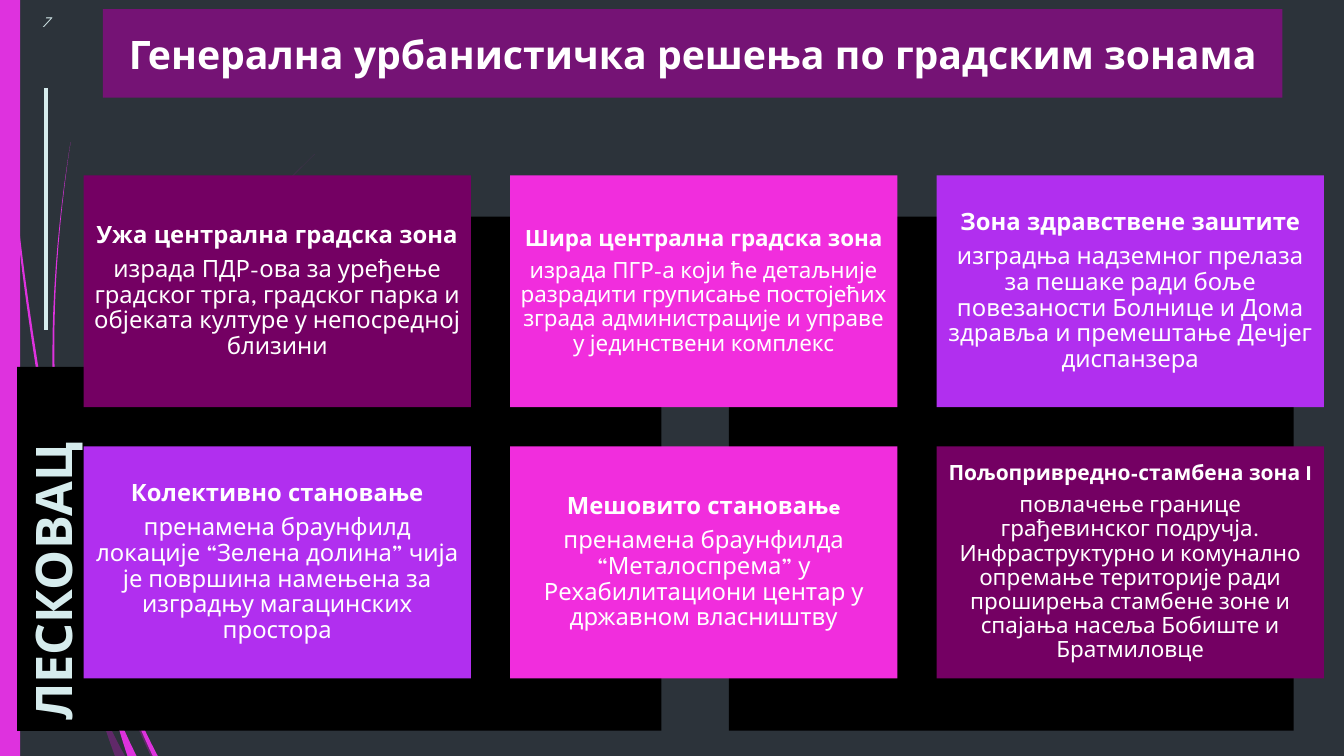
from lxml.etree import SubElement
from pptx import Presentation
from pptx.dml.color import RGBColor
from pptx.enum.shapes import MSO_CONNECTOR as Connector, MSO_SHAPE as Shape
from pptx.enum.text import MSO_ANCHOR as Anchor, PP_ALIGN as Align
from pptx.oxml.ns import qn
from pptx.util import Pt

SCALE = 9144  # EMU in one px, at 100 px to the inch
WIDTH, HEIGHT = 1333, 750
BACKGROUND, BLACK, WHITE = "2C333A", "000000", "FFFFFF"
PALE, PINK, ORCHID = "D6ECED", "DE32DE", "B01CB0"
TITLE_FILL, PLUM, MAGENTA, VIOLET = "751375", "740063", "F12DDD", "B12FEF"

# Fill, opacity, widths at both ends, four points of the cubic spine
STRANDS = [
    (ORCHID, 40, 0, 5, [(88, 596), (105, 645), (128, 700), (152, 750)]),
    (ORCHID, 40, 0, 3, [(312, 153), (200, 262), (80, 400), (86, 596)]),
    (ORCHID, 40, 0, 10, [(93, 683), (101, 709), (111, 733), (119, 750)]),
    (PINK, 100, 1, 3, [(3, 0), (5, 160), (27, 320), (57, 481)]),
    (PINK, 100, 0, 5, [(110, 641), (120, 675), (138, 718), (154, 750)]),
    (PINK, 100, 0, 3, [(70, 141), (53, 250), (47, 360), (60, 472)]),
    (PINK, 100, 0, 9, [(110, 691), (116, 712), (123, 731), (131, 750)]),
]

# Fill, heading, heading size, body, body size, inset
ZONES = [
    (PLUM, "Ужа централна градска зона", 17,
     "израда ПДР-ова за уређење градског трга, градског парка и објеката културе "
     "у непосредној близини", 17, 7),
    (MAGENTA, "Шира централна градска зона", 16,
     "израда ПГР-а који ће детаљније разрадити груписање постојећих зграда "
     "администрације и управе у јединствени комплекс", 16, 7),
    (VIOLET, "Зона здравствене заштите", 17,
     "изградња надземног прелаза за пешаке ради боље повезаности Болнице и Дома "
     "здравља и премештање Дечјег диспанзера", 17, 7),
    (VIOLET, "Колективно становање", 17,
     "пренамена браунфилд локације “Зелена долина” чија је површина намењена за "
     "изградњу магацинских простора", 17, 7),
    (MAGENTA, "Мешовито становањe", 17,
     "пренамена браунфилда “Металоспрема” у Рехабилитациони центар у државном "
     "власништву", 17, 7),
    (PLUM, "Пољопривредно-стамбена зона I", 15,
     "повлачење границе грађевинског подручја. Инфраструктурно и комунално "
     "опремање територије ради проширења стамбене зоне и спајања насеља Бобиште "
     "и Братмиловце", 16, 6),
]


def color(value):
    return RGBColor.from_string(value)


def px(length):
    return int(length * SCALE)


def strand_outline(start_width, end_width, spine, steps=16):
    """Run down one side of a widening cubic curve and back up the other."""
    left, right = [], []
    for step in range(steps + 1):
        t = step / steps
        u = 1 - t
        weights = (u**3, 3 * u * u * t, 3 * u * t * t, t**3)
        x = sum(weight * point[0] for weight, point in zip(weights, spine))
        y = sum(weight * point[1] for weight, point in zip(weights, spine))
        half = (u * start_width + t * end_width) / 2
        left.append((px(x - half), px(y)))
        right.append((px(x + half), px(y)))
    return left + right[::-1]


class SlideBuilder:
    font = "League Spartan"

    def __init__(self, presentation):
        self.slide = presentation.slides.add_slide(presentation.slide_layouts[6])
        self.shapes = self.slide.shapes
        fill = self.slide.background.fill
        fill.solid()
        fill.fore_color.rgb = color(BACKGROUND)

    def paint(self, shape, fill):
        shape.shadow.inherit = False
        shape.fill.solid()
        shape.fill.fore_color.rgb = color(fill)
        shape.line.fill.background()

    def rectangle(self, left, top, width, height, fill):
        shape = self.shapes.add_shape(Shape.RECTANGLE, *map(px, (left, top, width, height)))
        self.paint(shape, fill)
        return shape

    def strand(self, fill, opacity, start_width, end_width, spine):
        outline = strand_outline(start_width, end_width, spine)
        builder = self.shapes.build_freeform(*outline[0], scale=1.0)
        builder.add_line_segments(outline[1:], close=True)
        shape = builder.convert_to_shape()
        self.paint(shape, fill)
        if opacity < 100:
            value = shape._element.spPr.find(".//" + qn("a:srgbClr"))
            SubElement(value, qn("a:alpha"), val=str(opacity * 1000))

    def line(self, x1, y1, x2, y2, stroke, width):
        connector = self.shapes.add_connector(Connector.STRAIGHT, *map(px, (x1, y1, x2, y2)))
        connector.line.color.rgb = color(stroke)
        connector.line.width = Pt(width)
        SubElement(connector._element.spPr, qn("a:effectLst"))

    def text_box(self, left, top, width, height):
        return self.shapes.add_textbox(*map(px, (left, top, width, height)))

    def frame(self, shape, anchor=Anchor.MIDDLE, inset=None):
        frame = shape.text_frame
        frame.word_wrap = True
        frame.vertical_anchor = anchor
        if inset is not None:
            frame.margin_left = frame.margin_right = px(inset)
            frame.margin_top = frame.margin_bottom = px(inset)
        return frame

    def run(self, paragraph, text, size, fill=WHITE, bold=False, italic=False,
            align=Align.CENTER):
        paragraph.alignment = align
        run = paragraph.add_run()
        run.text = text
        font = run.font
        font.name, font.size, font.bold, font.italic = self.font, Pt(size), bold, italic
        font.color.rgb = color(fill)

    def card(self, left, top, zone):
        fill, heading, heading_size, body, body_size, inset = zone
        frame = self.frame(self.rectangle(left, top, 384, 230, fill), inset=inset)
        self.run(frame.paragraphs[0], heading, heading_size, bold=True)
        self.run(frame.add_paragraph(), body, body_size)
        for paragraph in frame.paragraphs:
            paragraph.line_spacing = 0.9
            paragraph.space_after = Pt(6)


def main():
    presentation = Presentation()
    presentation.slide_width, presentation.slide_height = px(WIDTH), px(HEIGHT)
    builder = SlideBuilder(presentation)

    for strand in STRANDS:
        builder.strand(*strand)
    builder.rectangle(0, 0, 20, HEIGHT, PINK)
    builder.line(46, 327, 46, 87, PALE, 3)
    number = builder.frame(builder.text_box(17, 8, 57, 27), Anchor.TOP)
    builder.run(number.paragraphs[0], "7", 10.5, PALE, italic=True)

    for left in (96, 723):
        builder.rectangle(left, 215, 560, 510, BLACK)
    city = builder.rectangle(-113, 494, 361, 101, BLACK)
    city.rotation = 270
    builder.run(builder.frame(city, Anchor.TOP).paragraphs[0], "ЛЕСКОВАЦ", 36, PALE,
                bold=True, align=Align.LEFT)

    title = builder.frame(builder.rectangle(102, 9, 1170, 88, TITLE_FILL))
    builder.run(title.paragraphs[0], "Генерална урбанистичка решења по градским зонама",
                28, bold=True)

    for index, zone in enumerate(ZONES):
        row, column = divmod(index, 3)
        builder.card(83 + 423 * column, 174 + 269 * row, zone)
    presentation.save("out.pptx")


if __name__ == "__main__":
    main()
